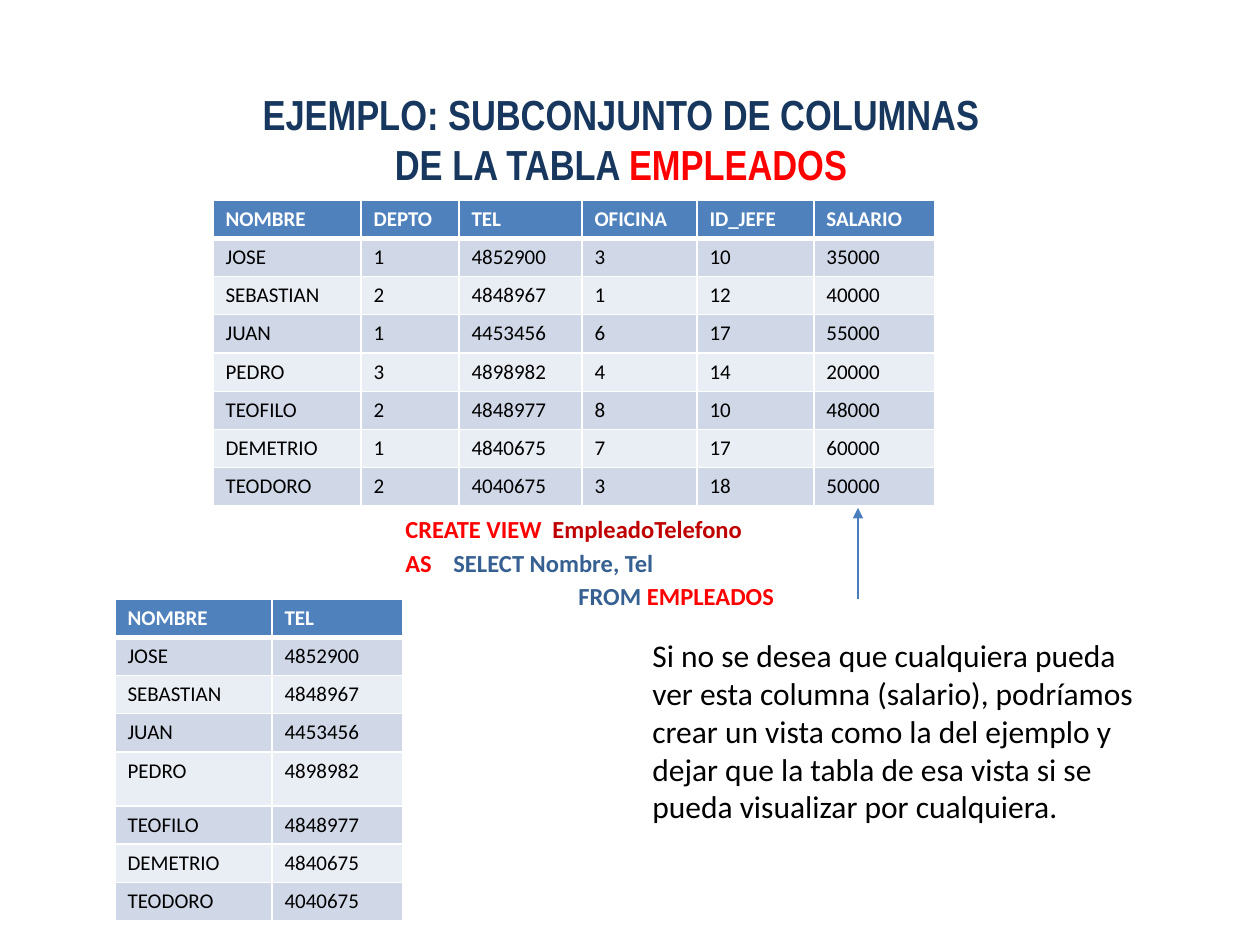
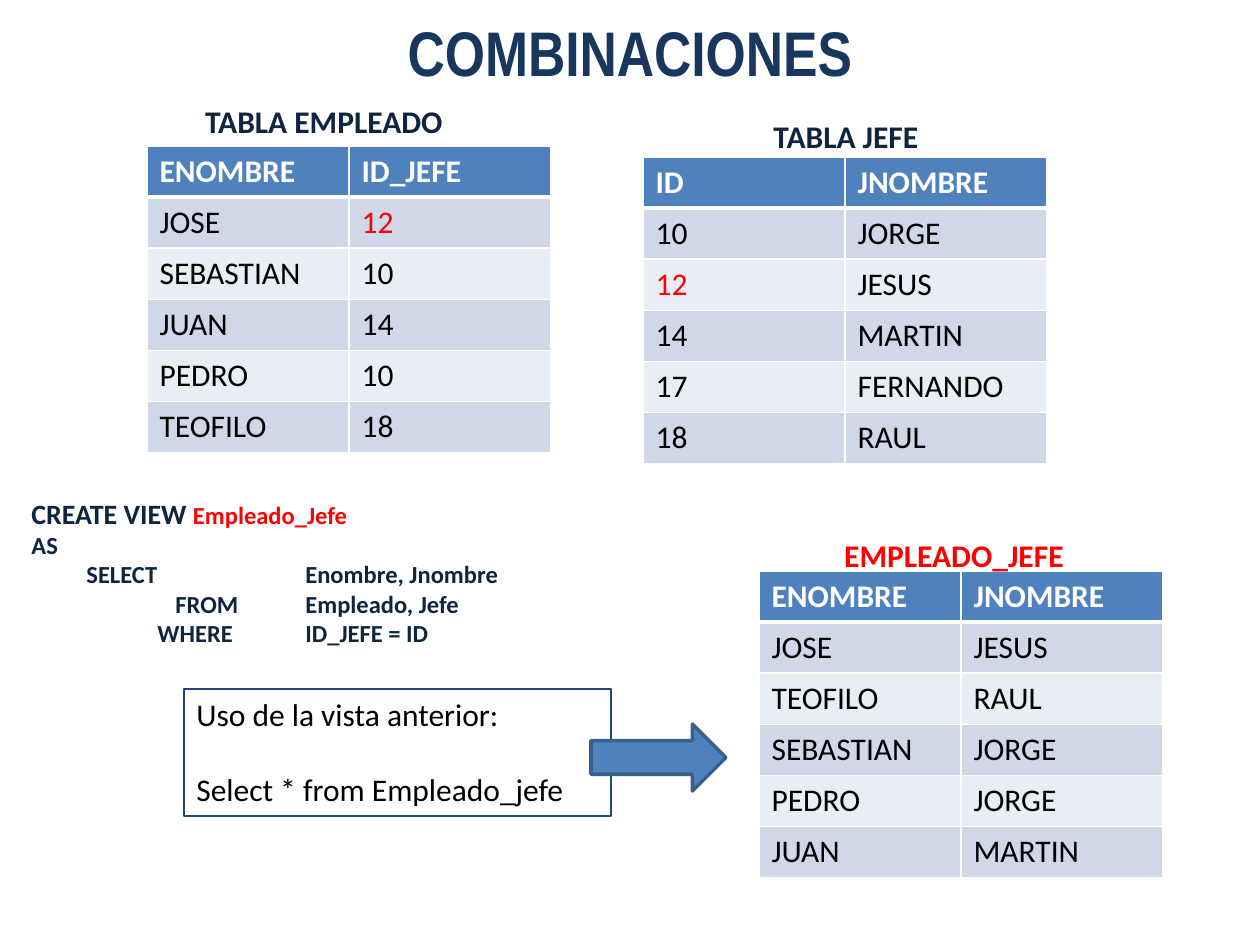
from copy import deepcopy
from dataclasses import dataclass

from lxml import etree
from pptx import Presentation
from pptx.dml.color import RGBColor
from pptx.enum.shapes import MSO_CONNECTOR, MSO_SHAPE
from pptx.enum.text import MSO_ANCHOR, MSO_AUTO_SIZE, PP_ALIGN
from pptx.oxml.ns import qn
from pptx.util import Pt

LEFT, CENTER = PP_ALIGN.LEFT, PP_ALIGN.CENTER
TOP, MIDDLE = MSO_ANCHOR.TOP, MSO_ANCHOR.MIDDLE
NO_FIT = MSO_AUTO_SIZE.NONE
RECT, RIGHT_ARROW = MSO_SHAPE.RECTANGLE, MSO_SHAPE.RIGHT_ARROW
STRAIGHT = MSO_CONNECTOR.STRAIGHT
TITLE_ONLY = 5
EMU_PER_PX = 914400 / 126


@dataclass(frozen=True)
class Theme:
    """Colours, fonts and type sizes shared by the slides."""
    title_font: str = "Arial Narrow"
    body_font: str = "Calibri"
    title: str = "17375E"
    ink: str = "0F243E"
    black: str = "000000"
    white: str = "FFFFFF"
    red: str = "FF0000"
    dark_red: str = "C00000"
    query: str = "376092"
    accent: str = "4F81BD"
    accent_edge: str = "3A5F8C"
    connector: str = "4B7EBC"
    frame: str = "1F497D"
    bands: tuple = ("D0D8E8", "E9EDF4")
    small: int = 12
    code: int = 14
    code_lead: int = 16
    body: int = 18
    title_small: int = 24
    title_large: int = 36


T = Theme()

EMPLOYEES = [
    ("NOMBRE", "DEPTO", "TEL", "OFICINA", "ID_JEFE", "SALARIO"),
    ("JOSE", "1", "4852900", "3", "10", "35000"),
    ("SEBASTIAN", "2", "4848967", "1", "12", "40000"),
    ("JUAN", "1", "4453456", "6", "17", "55000"),
    ("PEDRO", "3", "4898982", "4", "14", "20000"),
    ("TEOFILO", "2", "4848977", "8", "10", "48000"),
    ("DEMETRIO", "1", "4840675", "7", "17", "60000"),
    ("TEODORO", "2", "4040675", "3", "18", "50000"),
]
EMPLOYEE_BOSS = [
    ("ENOMBRE", "ID_JEFE"), ("JOSE", "12"), ("SEBASTIAN", "10"),
    ("JUAN", "14"), ("PEDRO", "10"), ("TEOFILO", "18"),
]
BOSSES = [
    ("ID", "JNOMBRE"), ("10", "JORGE"), ("12", "JESUS"),
    ("14", "MARTIN"), ("17", "FERNANDO"), ("18", "RAUL"),
]
JOINED = [
    ("ENOMBRE", "JNOMBRE"), ("JOSE", "JESUS"), ("TEOFILO", "RAUL"),
    ("SEBASTIAN", "JORGE"), ("PEDRO", "JORGE"), ("JUAN", "MARTIN"),
]


def px(n):
    """Turn px into EMU."""
    return round(n * EMU_PER_PX)


def box(*lengths):
    """Turn a row of px lengths into EMU."""
    return [px(n) for n in lengths]


def rgb(color):
    """Turn a hex string into a colour."""
    return RGBColor.from_string(color)


def set_all(obj, **values):
    """Set each named attribute on an object."""
    for name, value in values.items():
        setattr(obj, name, value)


def add_run(p, text, color, size, bold=False, font=T.body_font):
    """Add formatted text, with a line break at each newline."""
    for i, line in enumerate(text.split("\n")):
        if i:
            p.add_line_break()
            p._p[-1].append(deepcopy(r._r.rPr))
        r = p.add_run()
        r.text = line
        set_all(r.font, name=font, size=Pt(size), bold=bold)
        r.font.color.rgb = rgb(color)


def add_tabs(p, stops):
    """Add left tab stops, in px, to a paragraph."""
    tabs = etree.SubElement(p._p.get_or_add_pPr(), qn("a:tabLst"))
    for stop in stops:
        etree.SubElement(tabs, qn("a:tab"), pos=str(px(stop)), algn="l")


def fill_text(tf, paragraphs, align=LEFT, anchor=TOP, gap=0, **style):
    """Write paragraphs given as (tab stops, runs) into a text frame."""
    set_all(tf, word_wrap=True, auto_size=NO_FIT, vertical_anchor=anchor)
    for i, (stops, runs) in enumerate(paragraphs):
        p = tf.add_paragraph() if i else tf.paragraphs[0]
        if stops:
            add_tabs(p, stops)
        p.alignment = align
        if i and gap:
            p.space_before = Pt(gap)
        for text, color, size in runs:
            add_run(p, text, color, size, **style)


def add_title_slide(prs, area, runs):
    """Add a slide with a formatted title."""
    s = prs.slides.add_slide(prs.slide_layouts[TITLE_ONLY])
    title = s.shapes.title
    set_all(title, **dict(zip(("left", "top", "width", "height"), box(*area))))
    fill_text(title.text_frame, [((), runs)], CENTER, MIDDLE,
              bold=True, font=T.title_font)
    return s


def add_text(s, area, paragraphs, **style):
    """Add a text box."""
    fill_text(s.shapes.add_textbox(*box(*area)).text_frame, paragraphs, **style)


def add_label(s, left, top, text, color):
    """Add a centred bold table caption."""
    add_text(s, (left, top, 354, 50), [((), [(text, color, T.body)])],
             align=CENTER, bold=True)


def add_shape(s, kind, area, line, width, fill=None):
    """Add a preset shape with an outline and an optional fill."""
    sp = s.shapes.add_shape(kind, *box(*area))
    sp.shadow.inherit = False
    sp.line.color.rgb = rgb(line)
    sp.line.width = Pt(width)
    if fill:
        sp.fill.solid()
        sp.fill.fore_color.rgb = rgb(fill)
    else:
        sp.fill.background()
    return sp


def add_arrow(s, start, end):
    """Add a thin connector with an arrowhead at its end."""
    c = s.shapes.add_connector(STRAIGHT, *box(*start, *end))
    c.line.color.rgb = rgb(T.connector)
    c.line.width = Pt(0.75)
    etree.SubElement(c.line._get_or_add_ln(), qn("a:tailEnd"), type="triangle")
    etree.SubElement(c._element.spPr, qn("a:effectLst"))


def add_borders(cell, row):
    """Draw white cell borders, thicker below the header row."""
    widths = {"L": 1, "R": 1, "T": 3 if row == 1 else 1, "B": 1 if row else 3}
    tc_pr = cell._tc.get_or_add_tcPr()
    for side, width in widths.items():
        ln = etree.SubElement(tc_pr, qn(f"a:ln{side}"), w=str(Pt(width)))
        solid = etree.SubElement(ln, qn("a:solidFill"))
        etree.SubElement(solid, qn("a:srgbClr"), val=T.white)


def add_table(s, left, top, rows, widths, heights, size, marked=None):
    """Add a banded table, with cells equal to marked in red."""
    area = box(left, top, sum(widths), sum(heights))
    table = s.shapes.add_table(len(rows), len(widths), *area).table
    for column, width in zip(table.columns, widths):
        column.width = px(width)
    for i, (values, height) in enumerate(zip(rows, heights)):
        table.rows[i].height = px(height)
        for j, text in enumerate(values):
            cell = table.cell(i, j)
            add_borders(cell, i)
            cell.fill.solid()
            cell.fill.fore_color.rgb = rgb(T.bands[(i - 1) % 2] if i else T.accent)
            color = T.red if text == marked else T.black if i else T.white
            add_run(cell.text_frame.paragraphs[0], text, color, size, bold=not i)


def add_pair_table(s, left, top, rows, marked=None):
    """Add a table of two equal columns and equal rows."""
    add_table(s, left, top, rows, [202] * 2, [51] * len(rows), T.body, marked)


def build_column_subset(prs):
    """Build the slide on a view over some columns."""
    s = add_title_slide(prs, (54, 81, 1134, 115), [
        ("EJEMPLO: SUBCONJUNTO DE COLUMNAS\nDE LA TABLA ", T.title, T.title_small),
        ("EMPLEADOS", T.red, T.title_small)])
    add_table(s, 213, 200, EMPLOYEES, [148, 98, 123, 115, 117, 121],
              [38] * len(EMPLOYEES), T.small)
    add_text(s, (393, 508, 422, 115), [
        ((147,), [("CREATE VIEW\t", T.red, T.code),
                  ("EmpleadoTelefono", T.dark_red, T.code)]),
        ((48,), [("AS\t", T.red, T.code),
                 ("SELECT Nombre, Tel", T.query, T.code)]),
        ((173,), [("\tFROM ", T.query, T.code),
                  ("EMPLEADOS", T.red, T.code)]),
    ], gap=2.4, bold=True)
    view = [(row[0], row[2]) for row in EMPLOYEES]
    heights = [54 if row[0] == "PEDRO" else 38 for row in view]
    add_table(s, 115, 599, view, [157, 131], heights, T.small)
    add_arrow(s, (858, 599), (858, 508))
    add_text(s, (640, 630, 515, 204), [((), [(
        "Si no se desea que cualquiera pueda ver esta columna (salario), "
        "podríamos crear un vista como la del ejemplo y dejar que la tabla "
        "de esa vista si se pueda visualizar por cualquiera.",
        T.black, T.body)])])


def build_joins(prs):
    """Build the slide on a view that joins two tables."""
    s = add_title_slide(prs, (63, 6, 1134, 90),
                        [("COMBINACIONES", T.title, T.title_large)])
    add_pair_table(s, 643, 157, BOSSES, "12")
    add_pair_table(s, 147, 146, EMPLOYEE_BOSS, "12")
    add_label(s, 669, 111, "TABLA JEFE", T.ink)
    add_label(s, 147, 96, "TABLA EMPLEADO", T.ink)
    clauses = [(55, "SELECT", "Enombre, Jnombre"),
               (144, "FROM", "Empleado, Jefe"),
               (126, "WHERE", "ID_JEFE = ID")]
    add_text(s, (19, 490, 650, 165), [
        ((), [("CREATE VIEW ", T.ink, T.code_lead),
              ("Empleado_Jefe", T.red, T.code)]),
        ((), [("AS", T.ink, T.code)]),
        *[((stop, 274), [(f"\t{word}\t{names}", T.ink, T.code)])
          for stop, word, names in clauses],
    ], bold=True)
    add_pair_table(s, 759, 571, JOINED)
    add_label(s, 777, 530, "EMPLEADO_JEFE", T.red)
    usage = add_shape(s, RECT, (184, 689, 427, 127), T.frame, 0.75)
    fill_text(usage.text_frame, [
        ((), [("Uso de la vista anterior:", T.black, T.body)]),
        ((), [("Select * from Empleado_jefe", T.black, T.body)]),
    ], gap=21)
    add_shape(s, RIGHT_ARROW, (591, 724, 135, 67), T.accent_edge, 2, T.accent)


def main():
    """Build and save the presentation."""
    prs = Presentation()
    set_all(prs, slide_width=px(1260), slide_height=px(945))
    build_column_subset(prs)
    build_joins(prs)
    prs.save("out.pptx")


if __name__ == "__main__":
    main()
